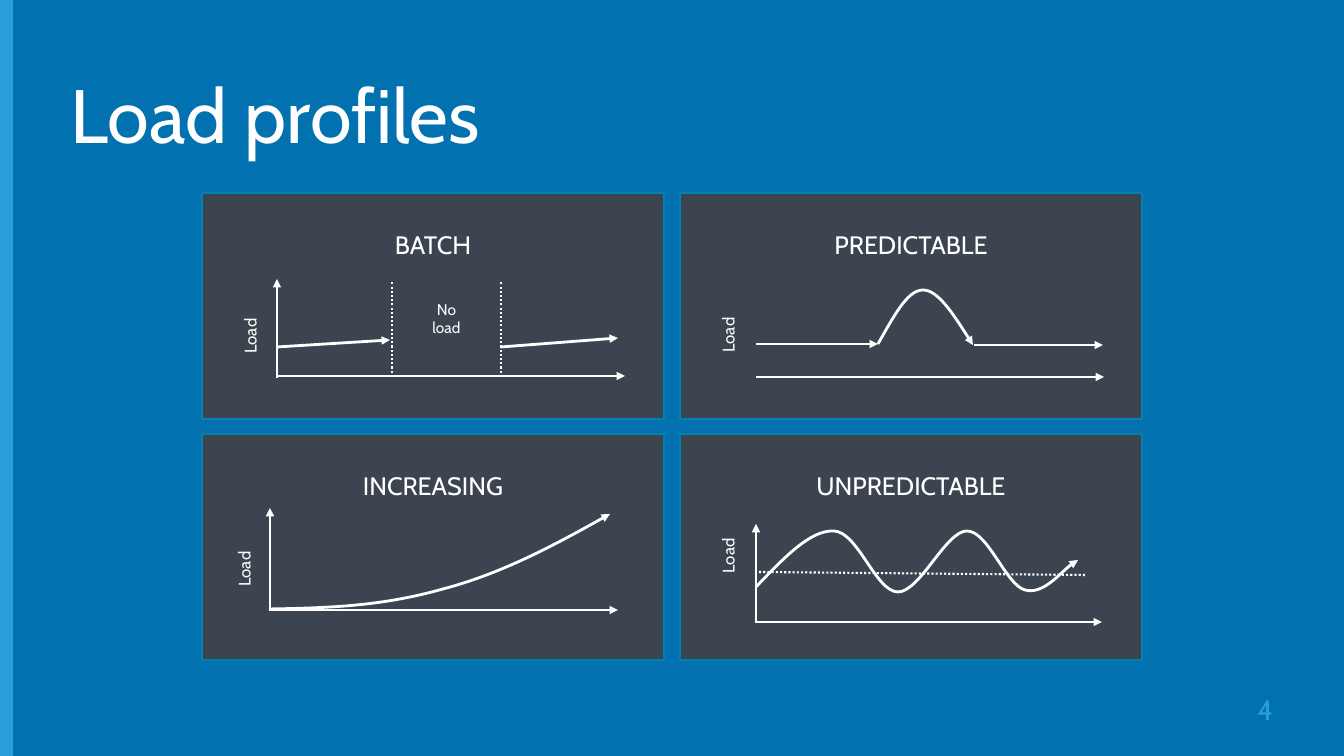
import pptx
import pptx.dml.color
import pptx.enum.dml
import pptx.enum.shapes
import pptx.enum.text
import pptx.oxml
import pptx.oxml.ns
import pptx.util

EMU_PER_PX = 914400 / 100.8
COLORS = {
    "background": "0171B0",
    "accent": "289FD7",
    "panel": "3C454F",
    "border": "0082B2",
    "white": "FFFFFF",
}
ALIGN = pptx.enum.text.PP_ALIGN
ANCHOR = pptx.enum.text.MSO_ANCHOR
RECTANGLE = pptx.enum.shapes.MSO_SHAPE.RECTANGLE


def px(*lengths):
    return [pptx.util.Emu(round(length * EMU_PER_PX)) for length in lengths]


def color(name):
    return pptx.dml.color.RGBColor.from_string(COLORS[name])


class Painter:
    font = "Cabin"

    def __init__(self, page):
        self.page = page
        page.background.fill.solid()
        page.background.fill.fore_color.rgb = color("background")

    def rectangle(self, left, top, width, height, fill, border=None):
        box = self.page.shapes.add_shape(RECTANGLE, *px(left, top, width, height))
        box.shadow.inherit = False
        box.fill.solid()
        box.fill.fore_color.rgb = color(fill)
        if border:
            box.line.color.rgb = color(border)
            box.line.width = pptx.util.Pt(1)
        else:
            box.line.fill.background()
        return box

    def set_text(self, box, lines, size, align, anchor, ink="white"):
        frame = box.text_frame
        frame.word_wrap = True
        frame.vertical_anchor = anchor
        frame.text = "\n".join(lines)
        for para in frame.paragraphs:
            para.alignment = align
            para.font.name = self.font
            para.font.size = pptx.util.Pt(size)
            para.font.color.rgb = color(ink)
        return frame.paragraphs

    def text(self, left, top, width, height, lines, size, align, anchor, ink="white"):
        box = self.page.shapes.add_textbox(*px(left, top, width, height))
        return box, self.set_text(box, lines, size, align, anchor, ink)

    def panel(self, left, top, heading):
        box = self.rectangle(left, top, 462, 226, "panel", "border")
        box.text_frame.margin_top = px(36)[0]
        self.set_text(box, [heading], 18, ALIGN.CENTER, ANCHOR.TOP)

    def label(self, left, top, width, height, lines, size, rotation=0):
        """Small chart caption with tight lines."""
        box, paras = self.text(left, top, width, height, lines, size,
                               ALIGN.CENTER, ANCHOR.TOP)
        box.rotation = rotation
        for para in paras:
            para.line_spacing = pptx.util.Pt(10.7)
            para.space_before = pptx.util.Pt(size * 0.2)

    def load_label(self, left, top):
        self.label(left, top, 112, 26, ["Load"], 12, 270)

    def stroke(self, shape, width, arrow):
        shape.line.color.rgb = color("white")
        shape.line.width = pptx.util.Pt(width)
        if arrow:
            outline = shape.line._get_or_add_ln()
            tail = pptx.oxml.parse_xml(
                f'<a:tailEnd {pptx.oxml.ns.nsdecls("a")} type="triangle"/>')
            outline.append(tail)

    def connect(self, start, end, width, arrow):
        line = self.page.shapes.add_connector(
            pptx.enum.shapes.MSO_CONNECTOR.STRAIGHT, *px(*start, *end))
        self.stroke(line, width, arrow)
        line._element.spPr.append(pptx.oxml.parse_xml(
            f'<a:effectLst {pptx.oxml.ns.nsdecls("a")}/>'))
        return line

    def arrow(self, start, end):
        self.connect(start, end, 2, True)

    def dots(self, start, end):
        line = self.connect(start, end, 1.5, False)
        line.line.dash_style = pptx.enum.dml.MSO_LINE.ROUND_DOT

    def curve(self, start, *points):
        """Arrow of cubic curves; every three points are two controls and an end."""
        builder = self.page.shapes.build_freeform(*start, scale=EMU_PER_PX)
        builder.add_line_segments(points, close=False)
        shape = builder.convert_to_shape()
        shape.shadow.inherit = False
        shape.fill.background()
        self.stroke(shape, 2, True)
        steps = iter(list(shape._element.iter(pptx.oxml.ns.qn("a:lnTo"))))
        for first, second, third in zip(steps, steps, steps):
            first.tag = pptx.oxml.ns.qn("a:cubicBezTo")
            for step in (second, third):
                first.append(step[0])
                step.getparent().remove(step)


def draw_batch(painter):
    painter.panel(202, 193, "BATCH")
    painter.load_label(197, 323)
    painter.arrow((277, 378), (277, 279))
    painter.arrow((277, 376), (625, 376))
    painter.arrow((277, 347), (390, 340))
    painter.arrow((501, 347), (618, 338))
    for x in (392, 501):
        painter.dots((x, 377), (x, 282))
    painter.label(385, 299, 123, 45, ["No", "load"], 11)


def draw_increasing(painter):
    painter.panel(202, 434, "INCREASING")
    painter.load_label(191, 556)
    painter.arrow((270, 611), (270, 508))
    painter.arrow((270, 610), (618, 610))
    painter.curve((269, 609), (338, 608), (386, 605), (443, 589),
                  (500, 574), (555, 545), (610, 514))


def draw_predictable(painter):
    painter.panel(680, 193, "PREDICTABLE")
    painter.load_label(675, 322)
    painter.arrow((756, 377), (1104, 377))
    painter.arrow((756, 344), (878, 344))
    painter.arrow((974, 345), (1103, 345))
    painter.curve((878, 344), (893, 318), (907, 290), (923, 290),
                  (938, 290), (956, 318), (973, 345))


def draw_unpredictable(painter):
    painter.panel(680, 434, "UNPREDICTABLE")
    painter.load_label(675, 543)
    painter.arrow((756, 623), (756, 524))
    painter.arrow((755, 622), (1102, 622))
    painter.curve((756, 587), (784, 558), (810, 530), (834, 531),
                  (858, 532), (876, 592), (898, 592),
                  (920, 592), (946, 531), (967, 531),
                  (988, 531), (1006, 585), (1025, 590),
                  (1043, 595), (1067, 565), (1078, 560))
    painter.dots((759, 572), (1086, 575))


def main():
    deck = pptx.Presentation()
    deck.slide_width, deck.slide_height = px(1344, 756)
    painter = Painter(deck.slides.add_slide(deck.slide_layouts[6]))
    painter.rectangle(0, 0, 13, 756, "accent")
    _, paras = painter.text(61, 46, 1222, 146, ["Load profiles"], 54,
                            ALIGN.LEFT, ANCHOR.MIDDLE)
    paras[0].line_spacing = 0.9
    painter.text(981, 689, 302, 40, ["4"], 20, ALIGN.RIGHT, ANCHOR.MIDDLE, "accent")
    draw_batch(painter)
    draw_increasing(painter)
    draw_predictable(painter)
    draw_unpredictable(painter)
    deck.save("out.pptx")


if __name__ == "__main__":
    main()
